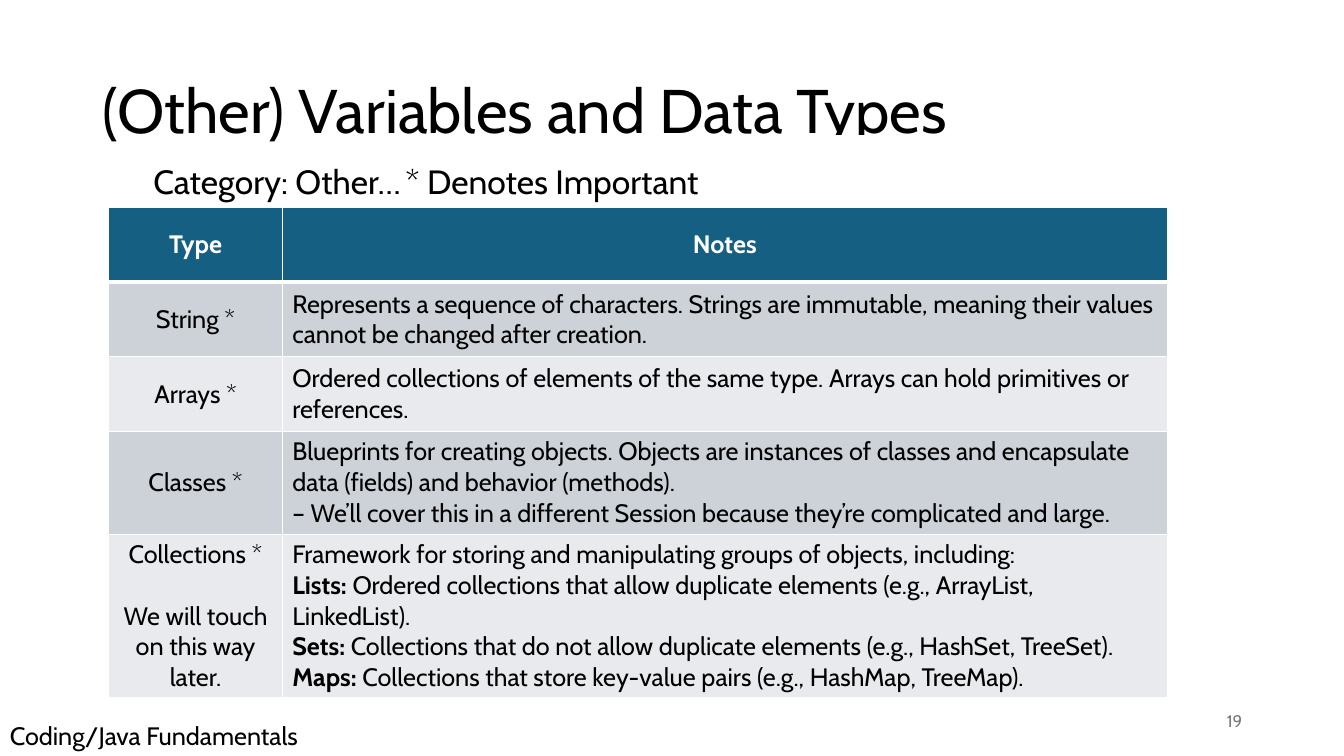
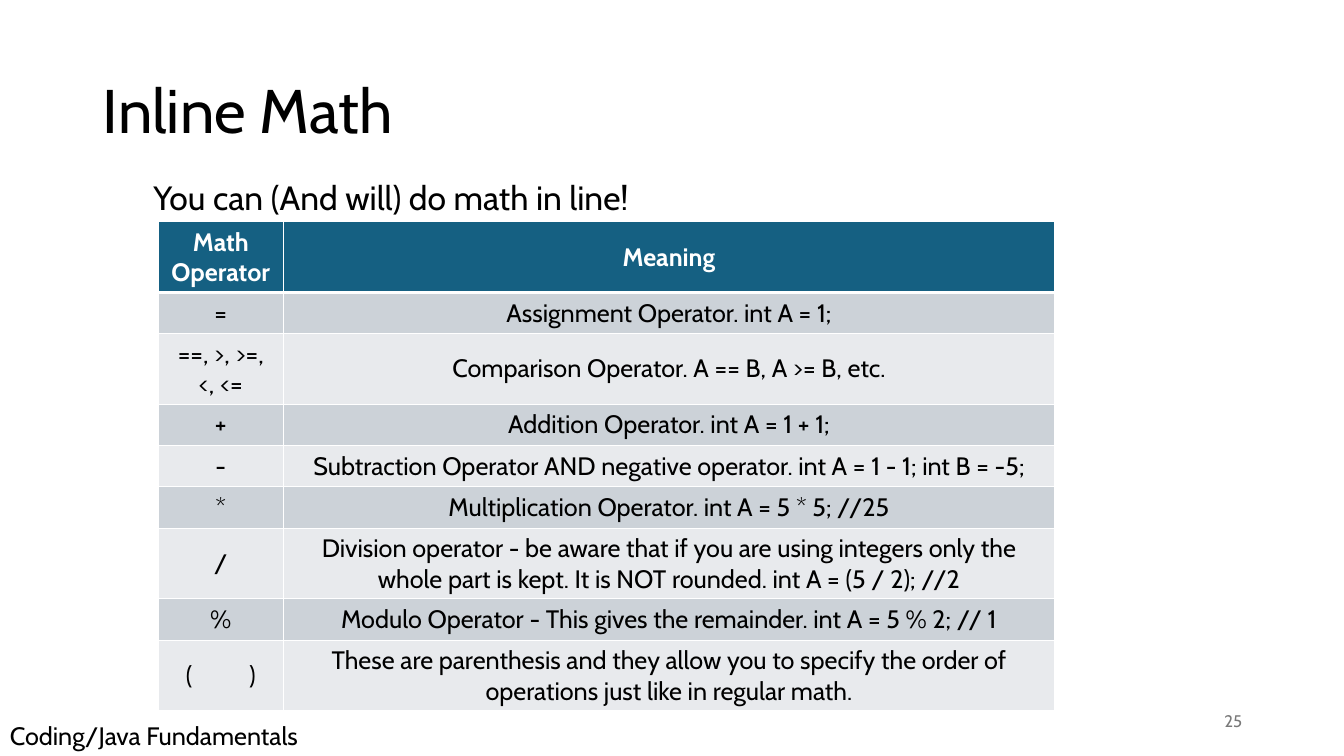
import pptx
import pptx.util
import pptx.dml.color
import pptx.enum.shapes
import pptx.enum.text
import pptx.oxml
import pptx.oxml.ns

Inches = pptx.util.Inches
Pt = pptx.util.Pt
ALIGN = pptx.enum.text.PP_ALIGN
ANCHOR = pptx.enum.text.MSO_ANCHOR

FONT = "Cabin"
FOOTER = "Coding/Java Fundamentals"
HEX = {
    "text": "000000",
    "paper": "FFFFFF",
    "head": "156082",
    "odd": "CCD2D8",
    "even": "E8EAED",
    "number": "797979",
}

TYPES = [
    ("Type", "Notes"),
    ("String *", "Represents a sequence of characters. Strings are immutable, "
     "meaning their values cannot be changed after creation."),
    ("Arrays *", "Ordered collections of elements of the same type. "
     "Arrays can hold primitives or references."),
    ("Classes *", [
        "Blueprints for creating objects. Objects are instances of classes "
        "and encapsulate data (fields) and behavior (methods).",
        "– We’ll cover this in a different Session because they’re "
        "complicated and large.",
    ]),
    (["Collections *", "We will touch on this way later."], [
        "Framework for storing and manipulating groups of objects, including:",
        ("Lists:", " Ordered collections that allow duplicate elements "
         "(e.g., ArrayList, LinkedList)."),
        ("Sets:", " Collections that do not allow duplicate elements "
         "(e.g., HashSet, TreeSet)."),
        ("Maps:", " Collections that store key-value pairs "
         "(e.g., HashMap, TreeMap)."),
    ]),
]

MATH = [
    ("Math Operator", "Meaning"),
    ("=", "Assignment Operator. int A = 1;"),
    ("==, >, >=, <, <=", "Comparison Operator. A == B, A >= B, etc."),
    ("+", "Addition Operator. int A = 1 + 1;"),
    ("-", "Subtraction Operator AND negative operator. "
     "int A = 1 - 1; int B = -5;"),
    ("*", "Multiplication Operator. int A = 5 * 5; //25"),
    ("/", "Division operator - be aware that if you are using integers only "
     "the whole part is kept. It is NOT rounded. int A = (5 / 2); //2"),
    ("%", "Modulo Operator - This gives the remainder. int A = 5 % 2; // 1"),
    ("(          )", "These are parenthesis and they allow you to specify the "
     "order of operations just like in regular math."),
]


def color(name):
    return pptx.dml.color.RGBColor.from_string(HEX[name])


def style(para, size, tone="text", align=ALIGN.LEFT, bold=False):
    para.alignment = align
    font = para.font
    font.name, font.size, font.bold = FONT, Pt(size), bold
    font.color.rgb = color(tone)


def place(shape, box):
    shape.left, shape.top, shape.width, shape.height = map(Inches, box)


def add_label(slide, box, text, size, tone="text", align=ALIGN.LEFT,
              anchor=ANCHOR.TOP):
    frame = slide.shapes.add_textbox(*map(Inches, box)).text_frame
    frame.word_wrap = True
    frame.vertical_anchor = anchor
    frame.text = text
    style(frame.paragraphs[0], size, tone, align)


def set_holder(shape, box, text, size, anchor):
    """Fill a template placeholder with one line and return its frame."""
    place(shape, box)
    frame = shape.text_frame
    frame.auto_size = pptx.enum.text.MSO_AUTO_SIZE.NONE
    frame.vertical_anchor = anchor
    frame.text = text
    para = frame.paragraphs[0]
    para.line_spacing = 0.9
    para.space_before = Pt(0)
    return frame


def set_body(shape, box, text, tab=6):
    frame = set_holder(shape, box, text, 24, ANCHOR.TOP)
    frame.margin_left = Inches(0.6)
    para = frame.paragraphs[0]
    props = para._p.get_or_add_pPr()
    props.set("marL", "0")
    props.set("indent", "0")
    space = pptx.oxml.ns.nsdecls("a")
    props.append(pptx.oxml.parse_xml(f"<a:buNone {space}/>"))
    if "\t" in text:
        props.append(pptx.oxml.parse_xml(
            f'<a:tabLst {space}><a:tab pos="{Inches(tab)}" algn="l"/>'
            "</a:tabLst>"))
    style(para, 24)


def add_base(prs, title, number, lead, top):
    """Add a slide with its title, lead line, page number and footer."""
    slide = prs.slides.add_slide(prs.slide_layouts[1])
    head, body = slide.placeholders
    frame = set_holder(head, (0.92, 0.4, 11.5, 1.45), title, 44, ANCHOR.MIDDLE)
    style(frame.paragraphs[0], 44)
    set_body(body, (0.92, top, 11.5, 4.76), lead)
    add_label(slide, (9.42, 6.95, 3, 0.4), str(number), 12, "number",
              ALIGN.RIGHT, ANCHOR.MIDDLE)
    add_label(slide, (0, 7.1, 3.14, 0.4), FOOTER, 18)
    return slide, body


def add_patch(slide, box):
    kind = pptx.enum.shapes.MSO_SHAPE.RECTANGLE
    patch = slide.shapes.add_shape(kind, *map(Inches, box))
    patch.shadow.inherit = False
    patch.fill.solid()
    patch.fill.fore_color.rgb = color("paper")
    patch.line.color.rgb = color("paper")
    patch.line.width = Pt(1.5)


def set_edges(cell, base):
    props = cell._tc.get_or_add_tcPr()
    widths = {"lnL": 1, "lnR": 1, "lnT": 1, "lnB": base}
    for spot, (tag, width) in enumerate(widths.items()):
        props.insert(spot, pptx.oxml.parse_xml(
            f'<a:{tag} {pptx.oxml.ns.nsdecls("a")} w="{Pt(width)}">'
            f'<a:solidFill><a:srgbClr val="{HEX["paper"]}"/></a:solidFill>'
            f"</a:{tag}>"))


def set_cell(cell, text, fill, tone, align, bold, gap):
    """Fill a cell; a pair in its list of lines has a bold lead."""
    cell.vertical_anchor = ANCHOR.MIDDLE
    cell.fill.solid()
    cell.fill.fore_color.rgb = color(fill)
    frame = cell.text_frame
    for n, line in enumerate(text if isinstance(text, list) else [text]):
        para = frame.add_paragraph() if n else frame.paragraphs[0]
        if n and gap:
            para.space_before = Pt(gap)
        style(para, 18, tone, align, bold)
        lead, rest = line if isinstance(line, tuple) else ("", line)
        if lead:
            run = para.add_run()
            run.text = lead
            run.font.bold = True
        para.add_run().text = rest


def add_grid(slide, left, top, cols, heights, rows, align):
    """Add a table; align is for the second column below the header."""
    box = (left, top, sum(cols), sum(heights))
    table = slide.shapes.add_table(
        len(rows), len(cols), *map(Inches, box)).table
    for col, width in zip(table.columns, cols):
        col.width = Inches(width)
    for r, (row, height) in enumerate(zip(rows, heights)):
        table.rows[r].height = Inches(height)
        head = r == 0
        fill = "head" if head else "odd" if r % 2 else "even"
        for c, text in enumerate(row):
            cell = table.cell(r, c)
            set_cell(cell, text, fill, "paper" if head else "text",
                     align if c and not head else ALIGN.CENTER, head,
                     0 if c else 22)
            set_edges(cell, 3 if head else 1)


def add_types(prs):
    slide, body = add_base(prs, "(Other) Variables and Data Types", 19,
                           "Category: Other…\t* Denotes Important", 1.59)
    add_patch(slide, (7.32, 1.35, 2.1, 0.71))
    slide.shapes.element.append(body.element)  # lead line above the patch
    add_grid(slide, 1.08, 2.06, (1.72, 8.78), [0.74] * 3 + [1.02, 1.62],
             TYPES, ALIGN.LEFT)


def add_math(prs):
    slide, _ = add_base(prs, "Inline Math", 25,
                        "You can (And will) do math in line!", 1.75)
    tall = (0, 2, 6, 8)
    heights = [0.7 if r in tall else 0.41 for r in range(len(MATH))]
    add_grid(slide, 1.57, 2.2, (1.24, 7.65), heights, MATH, ALIGN.CENTER)


def main():
    prs = pptx.Presentation()
    prs.slide_width, prs.slide_height = Inches(13.33), Inches(7.5)
    add_types(prs)
    add_math(prs)
    prs.save("out.pptx")


if __name__ == "__main__":
    main()
